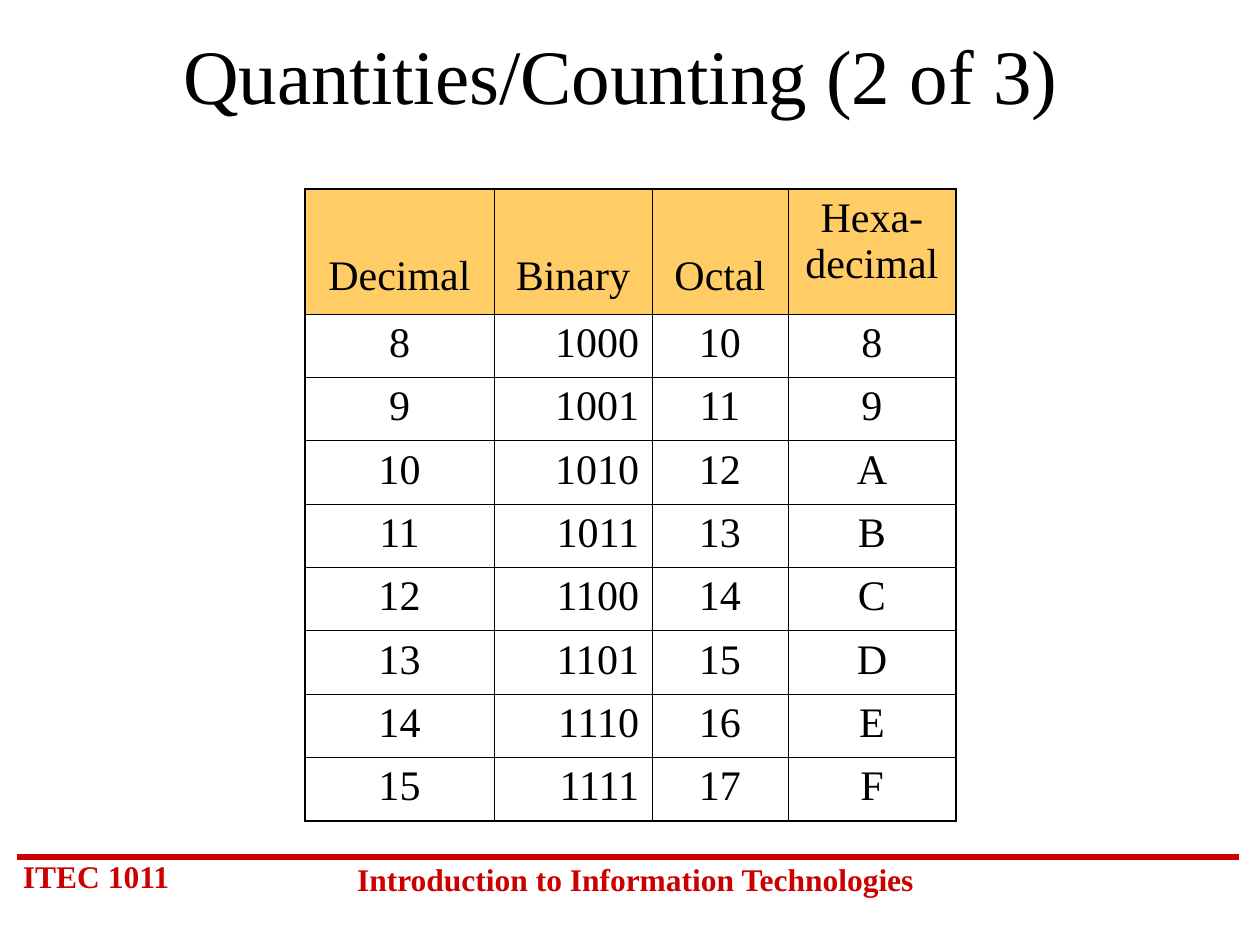
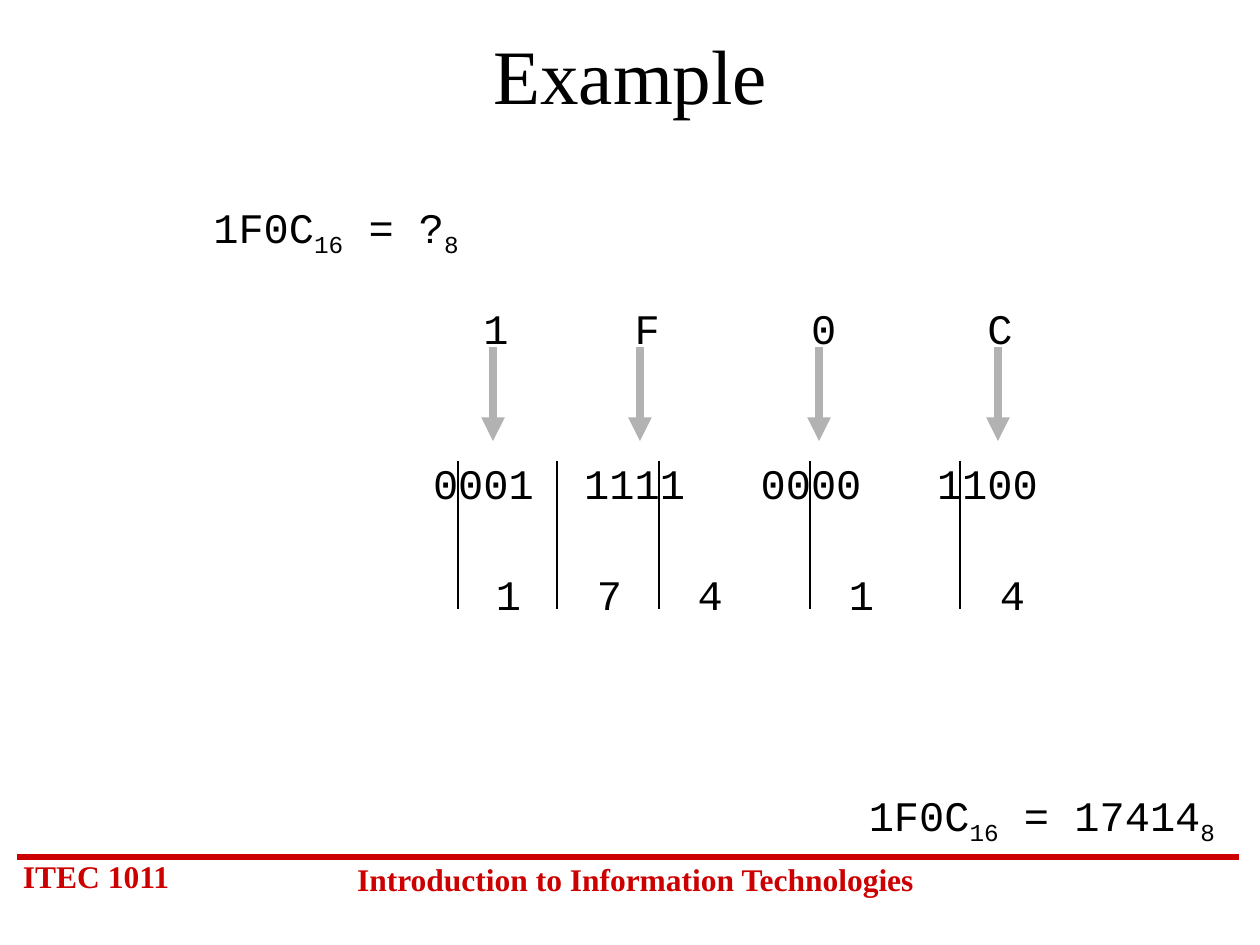
from lxml import etree
from pptx import Presentation
from pptx.dml.color import RGBColor
from pptx.enum.shapes import MSO_CONNECTOR
from pptx.enum.text import MSO_ANCHOR, PP_ALIGN
from pptx.oxml.ns import qn
from pptx.util import Emu, Pt

LEFT, MID, RIGHT = PP_ALIGN.LEFT, PP_ALIGN.CENTER, PP_ALIGN.RIGHT
TOP, CENTRE = MSO_ANCHOR.TOP, MSO_ANCHOR.MIDDLE
STRAIGHT = MSO_CONNECTOR.STRAIGHT
BLACK, RED, GRAY, GOLD = "000000", "CC0000", "B2B2B2", "FFCC66"
SERIF, MONO = "Times New Roman", "Courier New"
STEP = 25.2  # width of one 24 pt Courier character
THICK, THIN = 1.08, 0.45


def px(n):
    return Emu(round(n * 914400 / 126))


def color(code):
    return RGBColor.from_string(code)


def add_run(par, text, size=24, font=SERIF, tone=BLACK, bold=False, base=0):
    run = par.add_run()
    run.text = text
    run.font.size, run.font.name, run.font.bold = Pt(size), font, bold
    run.font.color.rgb = color(tone)
    if base:
        run.font._element.set("baseline", str(base * 1000))


def add_box(shapes, box, align=LEFT, anchor=TOP, top=6):
    frame = shapes.add_textbox(*map(px, box)).text_frame
    frame.word_wrap = True
    frame.vertical_anchor = anchor
    frame.margin_left = frame.margin_right = px(13)
    frame.margin_top, frame.margin_bottom = px(top), px(6)
    frame.paragraphs[0].alignment = align
    return frame


def add_line(shapes, x1, y1, x2, y2, tone, width, arrow=False):
    line = shapes.add_connector(STRAIGHT, *map(px, (x1, y1, x2, y2)))
    line.line.color.rgb = color(tone)
    line.line.width = Pt(width)
    if arrow:
        etree.SubElement(line.line._get_or_add_ln(), qn("a:tailEnd"), type="triangle")
    etree.SubElement(line._element.spPr, qn("a:effectLst"))


def add_slide(deck, title):
    """Start a slide with the shared rule, footers and title."""
    shapes = deck.slides.add_slide(deck.slide_layouts[6]).shapes
    add_line(shapes, 17, 857, 1239, 857, RED, 3)
    for text, box, align in (
        ("ITEC 1011", (10, 851, 189, 50), LEFT),
        ("Introduction to Information Technologies", (336, 854, 599, 50), MID),
    ):
        add_run(add_box(shapes, box, align).paragraphs[0], text, 18, tone=RED, bold=True)
    head = add_box(shapes, (95, 21, 1071, 105), MID, CENTRE)
    add_run(head.paragraphs[0], title, 44)
    return shapes


# Number table
def add_edges(cell, widths):
    props = cell._tc.get_or_add_tcPr()
    for side, width in zip("LRTB", widths):
        edge = etree.SubElement(props, qn("a:ln" + side), w=str(Pt(width)))
        fill = etree.SubElement(edge, qn("a:solidFill"))
        etree.SubElement(fill, qn("a:srgbClr"), val=BLACK)


def fill_cell(cell, text, head, align):
    cell.margin_left = cell.margin_right = px(13)
    cell.margin_bottom = px(6)
    lines = text.split("\n")
    # One-line heads sit on the second line of the row
    cell.margin_top = px(64 if head and len(lines) == 1 else 6)
    par = cell.text_frame.paragraphs[0]
    par.alignment = align
    for i, part in enumerate(lines):
        if i:
            par.add_line_break()
        add_run(par, part)
    if head:
        cell.fill.solid()
        cell.fill.fore_color.rgb = color(GOLD)
    else:
        cell.fill.background()


def add_counts(shapes, box):
    heads = ["Decimal", "Binary", "Octal", "Hexa-\ndecimal"]
    rows = [heads] + [[str(n), f"{n:b}", f"{n:o}", f"{n:X}"] for n in range(8, 16)]
    table = shapes.add_table(len(rows), len(heads), *map(px, box)).table
    table.first_row = table.horz_banding = False
    for col, width in zip(table.columns, (189, 158, 136, 168)):
        col.width = px(width)
    top = 125
    for r, row in enumerate(rows):
        table.rows[r].height = px((box[3] - top) / (len(rows) - 1) if r else top)
        for c, text in enumerate(row):
            cell = table.cell(r, c)
            outer = (c == 0, c == len(heads) - 1, r == 0, r == len(rows) - 1)
            add_edges(cell, [THICK if out else THIN for out in outer])
            fill_cell(cell, text, r == 0, RIGHT if r and c == 1 else MID)


# Base conversion
def add_sum(shapes, box, align, value):
    par = add_box(shapes, box, align, top=12).paragraphs[0]
    for text, base in (("1F0C", 0), ("16", -25), (f" = {value}", 0), ("8", -25)):
        add_run(par, text, font=MONO, base=base)


def add_digits(par, words, cols):
    """Set words at character columns by means of tab stops."""
    props = par._p.get_or_add_pPr()
    stops = etree.SubElement(props, qn("a:tabLst"))
    for col in cols:
        if col:
            etree.SubElement(stops, qn("a:tab"), pos=str(px(col * STEP)), algn="l")
    lead = "\t" if cols[0] else ""
    add_run(par, lead + "\t".join(words), font=MONO)


def add_bits(shapes, box):
    x, y = box[:2]
    group = shapes.add_group_shape().shapes
    frame = add_box(group, box, top=12)
    add_digits(frame.paragraphs[0], "1F0C", (2, 8, 15, 22))
    par = frame.add_paragraph()
    par.space_before = Pt(60)
    add_digits(par, [f"{int(d, 16):04b}" for d in "1F0C"], (0, 6, 13, 20))
    for dx in (73, 220, 399, 578):
        add_line(group, x + dx, y + 57, x + dx, y + 151, GRAY, 4.5, True)


def add_octal(shapes, box):
    x, y = box[:2]
    group = shapes.add_group_shape().shapes
    add_digits(add_box(group, box, top=12).paragraphs[0], "17414", (0, 4, 8, 14, 20))
    for dx in (-25, 74, 176, 327, 477):
        add_line(group, x + dx, y - 96, x + dx, y + 52, BLACK, 1)


def main():
    deck = Presentation()
    deck.slide_width, deck.slide_height = px(1260), px(945)

    shapes = add_slide(deck, "Quantities/Counting (2 of 3) ")
    add_counts(shapes, (305, 189, 651, 632))

    shapes = add_slide(deck, "Example")
    add_sum(shapes, (42, 189, 588, 71), MID, "?")
    add_bits(shapes, (420, 290, 672, 384))
    add_octal(shapes, (483, 557, 582, 63))
    add_sum(shapes, (640, 777, 588, 71), RIGHT, "17414")

    deck.save("out.pptx")


if __name__ == "__main__":
    main()
